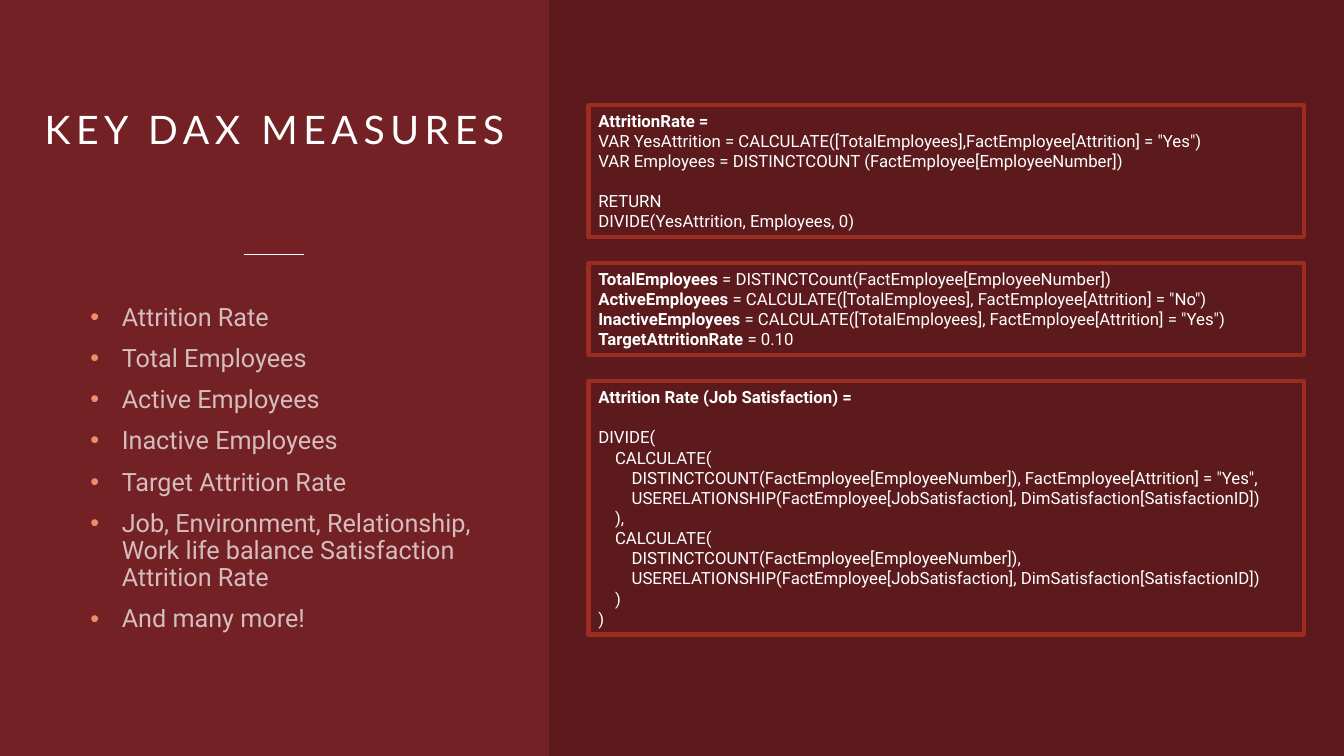
from lxml.etree import SubElement
from pptx import Presentation
from pptx.dml.color import RGBColor
from pptx.enum.shapes import MSO_CONNECTOR, MSO_SHAPE
from pptx.enum.text import MSO_ANCHOR, PP_ALIGN
from pptx.oxml.ns import qn
from pptx.util import Cm, Pt

BULLETS = [
    "Attrition Rate",
    "Total Employees",
    "Active Employees",
    "Inactive Employees",
    "Target Attrition Rate",
    "Job, Environment, Relationship, Work life balance Satisfaction Attrition Rate",
    "And many more!",
]

MEASURES = [
    [
        ("AttritionRate =", ""),
        ("", 'VAR YesAttrition = CALCULATE([TotalEmployees],FactEmployee[Attrition] = "Yes")'),
        ("", "VAR Employees = DISTINCTCOUNT (FactEmployee[EmployeeNumber])"),
        None,
        ("", "RETURN"),
        ("", "DIVIDE(YesAttrition, Employees, 0)"),
    ],
    [
        ("TotalEmployees", " = DISTINCTCount(FactEmployee[EmployeeNumber])"),
        ("ActiveEmployees", ' = CALCULATE([TotalEmployees], FactEmployee[Attrition] = "No")'),
        ("InactiveEmployees", ' = CALCULATE([TotalEmployees], FactEmployee[Attrition] = "Yes")'),
        ("TargetAttritionRate", " = 0.10"),
    ],
    [
        ("Attrition Rate (Job Satisfaction) =", ""),
        None,
        ("", "DIVIDE("),
        ("", "    CALCULATE("),
        ("", '        DISTINCTCOUNT(FactEmployee[EmployeeNumber]), FactEmployee[Attrition] = "Yes",'),
        ("", "        USERELATIONSHIP(FactEmployee[JobSatisfaction], DimSatisfaction[SatisfactionID])"),
        ("", "    ),"),
        ("", "    CALCULATE("),
        ("", "        DISTINCTCOUNT(FactEmployee[EmployeeNumber]),"),
        ("", "        USERELATIONSHIP(FactEmployee[JobSatisfaction], DimSatisfaction[SatisfactionID])"),
        ("", "    )"),
        ("", ")"),
    ],
]


def color(value):
    return RGBColor.from_string(value)


def add_alpha(parent, percent):
    for color_element in parent.iter(qn("a:srgbClr")):
        SubElement(color_element, qn("a:alpha"), val=str(percent * 1000))


class MeasureSlide:
    heading_font = "Lato"
    body_font = "Roboto"
    white = "FFFFFF"
    background = "732124"
    border = "9B2C1F"
    bullet = "EF8C6A"

    def __init__(self, presentation):
        self.slide = presentation.slides.add_slide(presentation.slide_layouts[6])
        fill = self.slide.background.fill
        fill.solid()
        fill.fore_color.rgb = color(self.background)

    def style(self, paragraph, font_name, size):
        paragraph.font.name = font_name
        paragraph.font.size = Pt(size)
        paragraph.font.color.rgb = color(self.white)

    def text_frame(self, left, top, width, height, anchor):
        box = self.slide.shapes.add_textbox(Cm(left), Cm(top), Cm(width), Cm(height))
        frame = box.text_frame
        frame.word_wrap = True
        frame.vertical_anchor = anchor
        frame.margin_left = frame.margin_right = 0
        frame.margin_top = frame.margin_bottom = 0
        return frame

    def rectangle(self, left, top, width, height):
        shape = self.slide.shapes.add_shape(
            MSO_SHAPE.RECTANGLE, Cm(left), Cm(top), Cm(width), Cm(height))
        shape.shadow.inherit = False
        return shape

    def title(self, text, left, top, width, height):
        paragraph = self.text_frame(left, top, width, height, MSO_ANCHOR.BOTTOM).paragraphs[0]
        paragraph.text = text
        paragraph.alignment = PP_ALIGN.CENTER
        self.style(paragraph, self.heading_font, 28)
        paragraph.runs[0].font._element.set("spc", "400")

    def rule(self, left, top, width):
        line = self.slide.shapes.add_connector(
            MSO_CONNECTOR.STRAIGHT, Cm(left), Cm(top), Cm(left + width), Cm(top))
        line.line.color.rgb = color(self.white)
        line.line.width = Pt(1)
        SubElement(line._element.spPr, qn("a:effectLst"))

    def bullets(self, items, left, top, width, height):
        frame = self.text_frame(left, top, width, height, MSO_ANCHOR.TOP)
        for index, item in enumerate(items):
            paragraph = frame.add_paragraph() if index else frame.paragraphs[0]
            paragraph.text = item
            properties = paragraph._p.get_or_add_pPr()
            properties.set("marL", str(Cm(1.57)))
            properties.set("indent", str(-Cm(0.79)))
            bullet_color = SubElement(properties, qn("a:buClr"))
            SubElement(bullet_color, qn("a:srgbClr"), val=self.bullet)
            SubElement(properties, qn("a:buFont"), typeface="Arial")
            SubElement(properties, qn("a:buChar"), char="•")
            paragraph.line_spacing = 0.9
            paragraph.space_before = Pt(10 if index else 0)
            self.style(paragraph, self.body_font, 18)
            add_alpha(paragraph.font._element, 70)

    def shade(self, left, top, width, height):
        shape = self.rectangle(left, top, width, height)
        shape.fill.solid()
        shape.fill.fore_color.rgb = color("000000")
        shape.line.fill.background()
        add_alpha(shape._element.spPr, 20)

    def code_box(self, lines, left, top, width, height):
        shape = self.rectangle(left, top, width, height)
        shape.fill.background()
        shape.line.color.rgb = color(self.border)
        shape.line.width = Pt(3)
        SubElement(shape._element.spPr.find(qn("a:ln")), qn("a:round"))
        frame = shape.text_frame
        frame.word_wrap = True
        frame.vertical_anchor = MSO_ANCHOR.MIDDLE
        paragraph = frame.paragraphs[0]
        for index, line in enumerate(lines):
            if line is None:
                continue
            if index:
                paragraph = frame.add_paragraph()
                paragraph.space_before = Pt(14.4 if lines[index - 1] is None else 0)
            paragraph.alignment = PP_ALIGN.LEFT
            self.style(paragraph, self.body_font, 12)
            for text, bold in zip(line, (True, False)):
                if text:
                    run = paragraph.add_run()
                    run.text = text
                    run.font.bold = bold


def main():
    presentation = Presentation()
    presentation.slide_width = Cm(33.87)
    presentation.slide_height = Cm(19.05)
    panel_left = 13.84
    page = MeasureSlide(presentation)
    page.title("KEY DAX MEASURES", 0, 2.64, panel_left, 1.19)
    page.rule(6.15, 6.42, 1.5)
    page.bullets(BULLETS, 1.5, 7.67, 11.56, 8.36)
    page.shade(panel_left, 0, 33.87 - panel_left, 19.05)
    top = 2.64
    for lines in MEASURES:
        height = 0.51 * len(lines) + 0.27
        page.code_box(lines, 14.83, top, 18.03, height)
        top += height + 0.66
    presentation.save("out.pptx")


if __name__ == "__main__":
    main()
